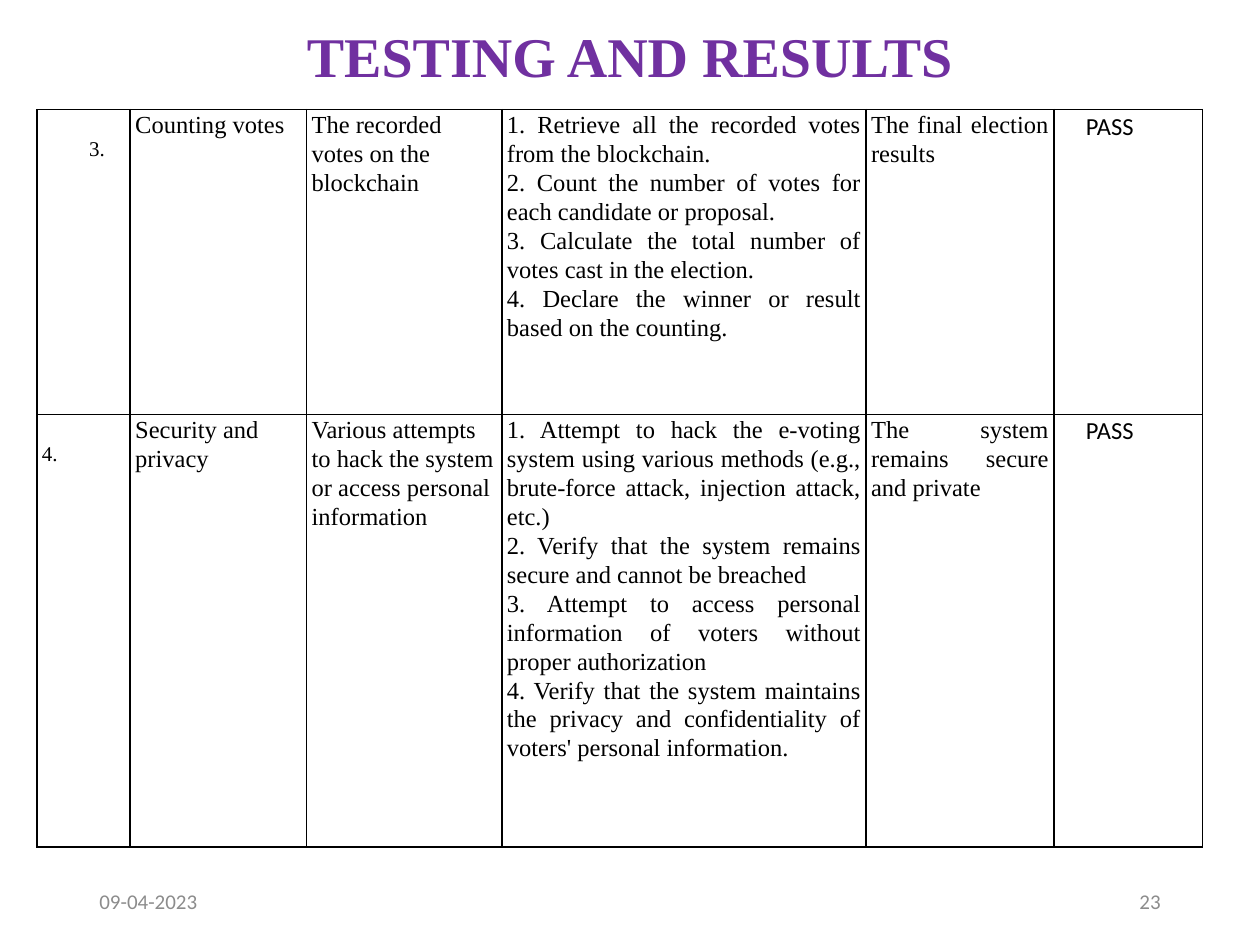
from lxml.etree import SubElement
from pptx import Presentation
from pptx.dml.color import RGBColor
from pptx.enum.text import MSO_ANCHOR as Anchor, MSO_AUTO_SIZE as AutoSize, PP_ALIGN as Align
from pptx.oxml.ns import qn
from pptx.util import Pt

# Content
TITLE = "TESTING AND RESULTS"
DATE = "09-04-2023"
PAGE = "23"
TEST_CASES = [
    ["3.", "Counting votes", "The recorded votes on the blockchain",
     "1. Retrieve all the recorded votes from the blockchain.\n"
     "2. Count the number of votes for each candidate or proposal.\n"
     "3. Calculate the total number of votes cast in the election.\n"
     "4. Declare the winner or result based on the counting.",
     "The final election results", "PASS"],
    ["4.", "Security and privacy",
     "Various attempts to hack the system or access personal information",
     "1. Attempt to hack the e-voting system using various methods "
     "(e.g., brute-force attack, injection attack, etc.)\n"
     "2. Verify that the system remains secure and cannot be breached\n"
     "3. Attempt to access personal information of voters without proper authorization\n"
     "4. Verify that the system maintains the privacy and confidentiality of "
     "voters' personal information.",
     "The system remains secure and private", "PASS"],
]

# Style: one (font, size, alignment) per column
SERIF, SANS = "Times New Roman", "Calibri"
PURPLE = RGBColor(0x70, 0x30, 0xA0)
BLACK = RGBColor(0, 0, 0)
GRAY = RGBColor(0x8C, 0x8C, 0x8C)
COLUMN_STYLES = [(SERIF, 12, Align.LEFT), (SERIF, 14, Align.LEFT), (SERIF, 14, Align.LEFT),
                 (SERIF, 14, Align.JUSTIFY), (SERIF, 14, Align.JUSTIFY), (SANS, 14, Align.JUSTIFY)]
COLUMN_WIDTHS = [53.3, 100.8, 111.6, 208.1, 107.3, 84.9]
ROW_HEIGHTS = [174.2, 247]
TABLE_LEFT, TABLE_TOP = 21.1, 62.7
CELL_INSET = 2.9
NUMBER_DROP = 15
INDENTS = {(0, 0): 27, (0, 5): 15.5, (1, 5): 15.5}  # extra left inset by (row, column)


def format_text(text_frame, font, size, color, alignment, spacing=1.0, bold=False):
    for paragraph in text_frame.paragraphs:
        paragraph.alignment = alignment
        paragraph.line_spacing = spacing
        for run in paragraph.runs:
            run.font.name = font
            run.font.size = Pt(size)
            run.font.bold = bold
            run.font.color.rgb = color


def add_borders(cell):
    properties = cell._tc.get_or_add_tcPr()
    for position, side in enumerate(("a:lnL", "a:lnR", "a:lnT", "a:lnB")):
        line = SubElement(properties, qn(side), w=str(Pt(1)))
        fill = SubElement(line, qn("a:solidFill"))
        SubElement(fill, qn("a:srgbClr"), val=str(BLACK))
        properties.insert(position, line)


def add_footer(slide, left, text, alignment):
    box = slide.shapes.add_textbox(Pt(left), Pt(500.4), Pt(162), Pt(28.8))
    frame = box.text_frame
    frame.word_wrap = True
    frame.vertical_anchor = Anchor.MIDDLE
    frame.text = text
    format_text(frame, SANS, 12, GRAY, alignment)


def add_test_table(slide):
    frame = slide.shapes.add_table(
        len(TEST_CASES), len(COLUMN_WIDTHS), Pt(TABLE_LEFT), Pt(TABLE_TOP),
        Pt(sum(COLUMN_WIDTHS)), Pt(sum(ROW_HEIGHTS)))
    table = frame.table
    table.first_row = table.horz_banding = False
    for column, width in zip(table.columns, COLUMN_WIDTHS):
        column.width = Pt(width)
    for row, height in zip(table.rows, ROW_HEIGHTS):
        row.height = Pt(height)

    for row_index, test_case in enumerate(TEST_CASES):
        for column_index, text in enumerate(test_case):
            cell = table.cell(row_index, column_index)
            cell.text = text
            cell.margin_left = Pt(CELL_INSET + INDENTS.get((row_index, column_index), 0))
            cell.margin_right = Pt(CELL_INSET)
            cell.margin_top = Pt(NUMBER_DROP if column_index == 0 else 0)
            cell.margin_bottom = Pt(0)
            font, size, alignment = COLUMN_STYLES[column_index]
            format_text(cell.text_frame, font, size, BLACK, alignment, 1.07)
            cell.fill.background()
            add_borders(cell)


def main():
    presentation = Presentation()
    presentation.slide_width, presentation.slide_height = Pt(720), Pt(540)
    slide = presentation.slides.add_slide(presentation.slide_layouts[5])

    # Title
    title = slide.shapes.title
    title.left, title.top, title.width, title.height = Pt(49.7), Pt(13), Pt(620.6), Pt(41.8)
    title.text_frame.text = TITLE
    title.text_frame.auto_size = AutoSize.NONE
    title.text_frame.vertical_anchor = Anchor.MIDDLE
    format_text(title.text_frame, SERIF, 32, PURPLE, Align.CENTER, 0.9, bold=True)

    # Footer and table
    add_footer(slide, 49.7, DATE, Align.LEFT)
    add_footer(slide, 508.3, PAGE, Align.RIGHT)
    add_test_table(slide)
    presentation.save("out.pptx")


if __name__ == "__main__":
    main()
